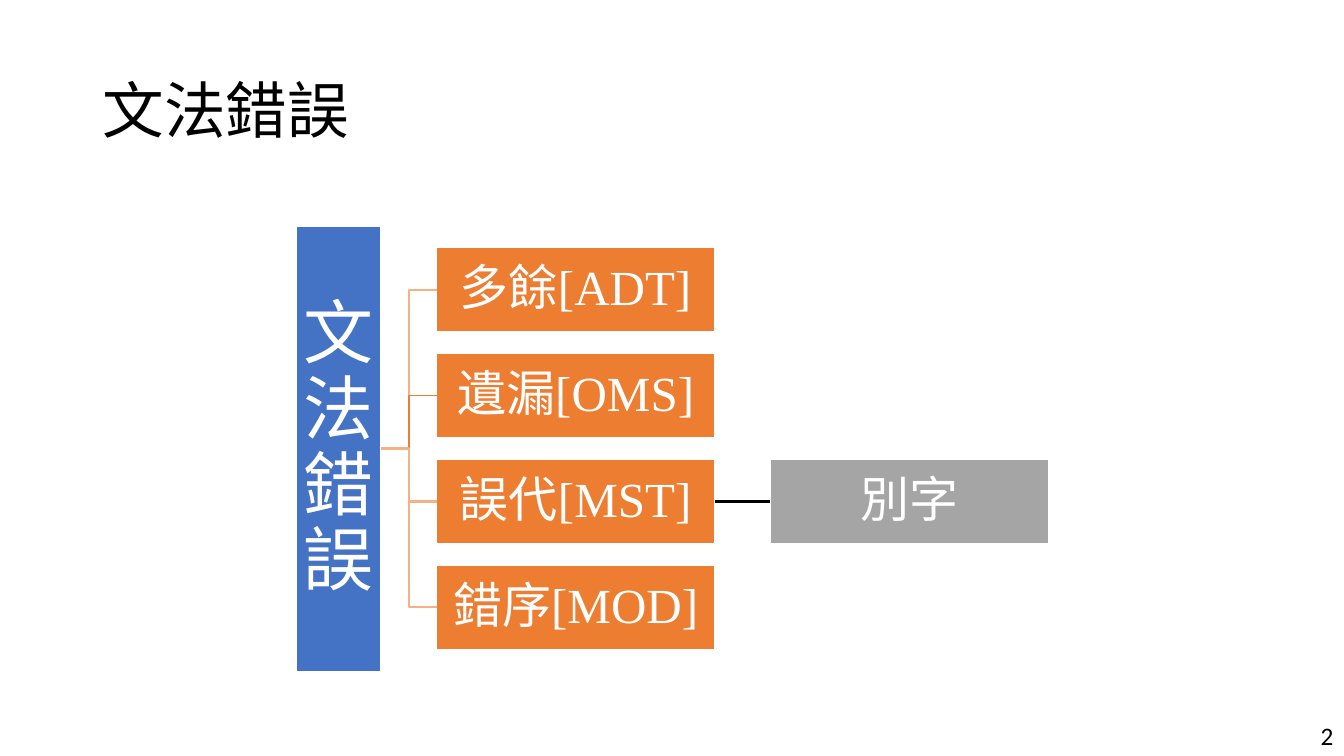
from lxml.etree import SubElement
from pptx import Presentation
from pptx.dml.color import RGBColor
from pptx.enum.shapes import MSO_CONNECTOR, MSO_SHAPE
from pptx.enum.text import MSO_ANCHOR, MSO_AUTO_SIZE, PP_ALIGN
from pptx.oxml.ns import qn
from pptx.util import Inches, Pt

WHITE = RGBColor(0xFF, 0xFF, 0xFF)
BLACK = RGBColor(0, 0, 0)
BLUE = RGBColor(0x44, 0x72, 0xC4)
ORANGE = RGBColor(0xED, 0x7D, 0x31)
PEACH = RGBColor(0xF4, 0xB1, 0x83)
GRAY = RGBColor(0xA5, 0xA5, 0xA5)
SERIF, SANS = "Times New Roman", "Calibri"

TITLE = "文法錯誤"
PAGE_NUMBER = "2"
# label, branch colour, branch width in points, subtypes
ERROR_TYPES = [
    ("多餘[ADT]", PEACH, 1.5, []),
    ("遺漏[OMS]", ORANGE, 1, []),
    ("誤代[MST]", PEACH, 1.5, ["別字"]),
    ("錯序[MOD]", PEACH, 1.5, []),
]

# Tree grid, in inches
BOX_W, BOX_H = 2.76, 0.84
ROW_PITCH, COLUMN_GAP = 1.05, 0.55
ROOT_LEFT, ROOT_H = 2.94, 4.42
TREE_MIDDLE = 4.45
TYPE_LEFT = ROOT_LEFT + BOX_H + COLUMN_GAP
SUBTYPE_LEFT = TYPE_LEFT + BOX_W + COLUMN_GAP

prs = Presentation()
prs.slide_width, prs.slide_height = Inches(13.33), Inches(7.5)
slide = prs.slides.add_slide(prs.slide_layouts[6])
shapes = slide.shapes


def write(shape, text, size, color, font=SERIF, spacing=0.9):
    paragraph = shape.text_frame.paragraphs[0]
    paragraph.text = text
    paragraph.line_spacing = spacing
    paragraph.font.size = Pt(size)
    paragraph.font.name = font
    paragraph.font.color.rgb = color
    return paragraph


def add_box(text, left, middle, width, height, fill, size, inset, spacing=0.9):
    """Add a filled box centred vertically on middle."""
    box = shapes.add_shape(MSO_SHAPE.RECTANGLE, Inches(left), Inches(middle - height / 2),
                           Inches(width), Inches(height))
    box.shadow.inherit = False
    box.fill.solid()
    box.fill.fore_color.rgb = fill
    box.line.color.rgb = WHITE
    box.line.width = Pt(1)
    frame = box.text_frame
    frame.word_wrap = True
    frame.vertical_anchor = MSO_ANCHOR.MIDDLE
    frame.margin_left = frame.margin_right = Inches(inset)
    frame.margin_top = frame.margin_bottom = Inches(inset)
    write(box, text, size, WHITE, spacing=spacing).alignment = PP_ALIGN.CENTER
    return box


def join(parent, child, kind, color, width):
    """Connect the parent's right side to the child's left side."""
    branch = shapes.add_connector(kind, 0, 0, 0, 0)
    branch.begin_connect(parent, 3)
    branch.end_connect(child, 1)
    branch.line.color.rgb = color
    branch.line.width = Pt(width)
    SubElement(branch._element.spPr, qn("a:effectLst"))


title = shapes.add_textbox(Inches(0.92), Inches(0.4), Inches(11.5), Inches(1.45))
title.text_frame.word_wrap = True
title.text_frame.vertical_anchor = MSO_ANCHOR.MIDDLE
write(title, TITLE, 44, BLACK)

# The root is one character wide, so its text wraps into a column
root = add_box(TITLE, ROOT_LEFT, TREE_MIDDLE, BOX_H, ROOT_H, BLUE, 50, 0.03, Pt(54))
for row, (label, color, width, subtypes) in enumerate(ERROR_TYPES):
    middle = TREE_MIDDLE + (row - (len(ERROR_TYPES) - 1) / 2) * ROW_PITCH
    error_type = add_box(label, TYPE_LEFT, middle, BOX_W, BOX_H, ORANGE, 35, 0.02)
    join(root, error_type, MSO_CONNECTOR.ELBOW, color, width)
    for subtype_label in subtypes:
        subtype = add_box(subtype_label, SUBTYPE_LEFT, middle, BOX_W, BOX_H, GRAY, 35, 0.02)
        join(error_type, subtype, MSO_CONNECTOR.STRAIGHT, BLACK, 1.5)

page = shapes.add_textbox(Inches(13), Inches(7.1), Inches(0.33), Inches(0.4))
page.text_frame.word_wrap = False
page.text_frame.auto_size = MSO_AUTO_SIZE.SHAPE_TO_FIT_TEXT
write(page, PAGE_NUMBER, 18, BLACK, SANS, 1.0)

prs.save("out.pptx")
